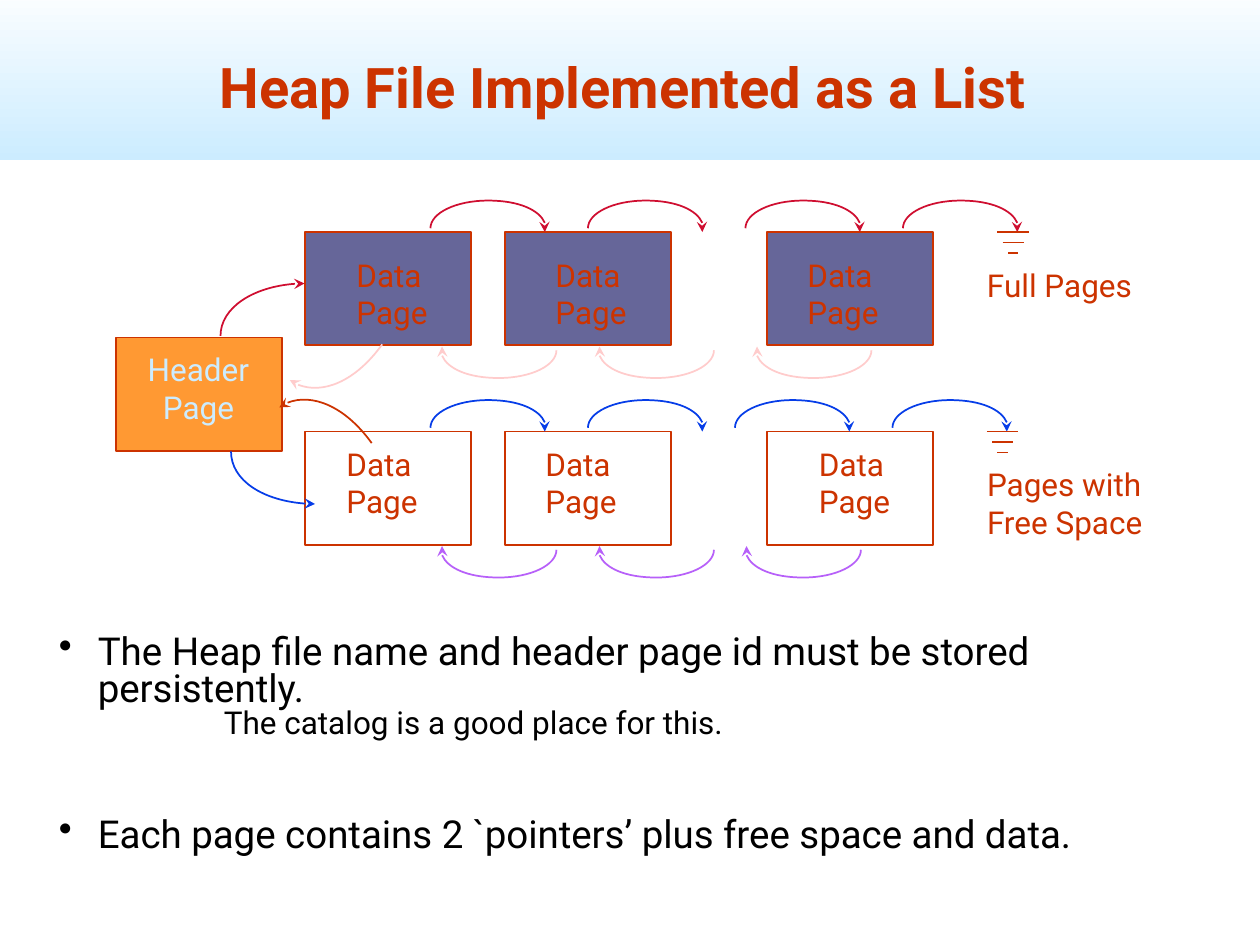
"""Builds a slide on a heap file kept as two linked lists of pages."""
from dataclasses import dataclass

from lxml.etree import SubElement
from pptx import Presentation
from pptx.dml.color import RGBColor
from pptx.enum.shapes import MSO_CONNECTOR, MSO_SHAPE
from pptx.enum.text import MSO_ANCHOR, MSO_AUTO_SIZE, PP_ALIGN
from pptx.oxml.ns import qn
from pptx.util import Inches, Pt

COLUMNS, ROWS = 120, 90
PAGE_WIDTH, PAGE_HEIGHT = 15.84, 10.8
ARC_WIDTH, ARC_HEIGHT = 11, 3
ARC = [(0, 2.64), (0, 1.2), (2.4, 0), (5.5, 0), (8.5, 0), (11, 1.2),
       (11, 2.64), (11, 2.76), (11, 2.88), (10.9, 3)]


@dataclass(frozen=True)
class Theme:
    font: str = "Roboto"
    title_size: int = 32
    body_size: int = 22
    label_size: int = 18
    line_width: int = 1
    rust: str = "CC3300"
    ink: str = "000000"
    sky: str = "CCECFF"
    white: str = "FFFFFF"
    slate: str = "666699"
    orange: str = "FF9933"
    crimson: str = "CF0E30"
    pink: str = "FFCCCC"
    blue: str = "063DE8"
    violet: str = "B760F9"


def apply(target, values):
    for name, value in values.items():
        setattr(target, name, value)


class SlideBuilder:
    """Holds the theme and the current slide, measured in grid columns and rows."""

    def __init__(self, presentation, theme):
        self.theme = theme
        self.slide = presentation.slides.add_slide(presentation.slide_layouts[6])
        self.column = presentation.slide_width / COLUMNS
        self.row = presentation.slide_height / ROWS

    def place(self, x, y):
        return int(x * self.column), int(y * self.row)

    def outline(self, line, color):
        line.color.rgb = RGBColor.from_string(color)
        line.width = Pt(self.theme.line_width)

    def box(self, x, y, width, height, fill=None, line=None):
        shape = self.slide.shapes.add_shape(
            MSO_SHAPE.RECTANGLE, *self.place(x, y), *self.place(width, height))
        shape.shadow.inherit = False
        if fill:
            shape.fill.solid()
            shape.fill.fore_color.rgb = RGBColor.from_string(fill)
        else:
            shape.fill.background()
        if line:
            self.outline(shape.line, line)
        else:
            shape.line.fill.background()
        return shape

    def band(self, x, y, width, height, bottom, top):
        fill = self.box(x, y, width, height).fill
        fill.gradient()
        fill.gradient_angle = 90
        for stop, color in zip(fill.gradient_stops, (bottom, top)):
            stop.color.rgb = RGBColor.from_string(color)

    def frame(self, x, y, width, height, **settings):
        shape = self.slide.shapes.add_textbox(
            *self.place(x, y), *self.place(width, height))
        inset = Inches(0.05)
        apply(shape.text_frame, {
            "margin_left": inset, "margin_right": inset, "margin_top": inset,
            "margin_bottom": inset, "word_wrap": True, **settings})
        return shape.text_frame

    def add_text(self, paragraph, text, size, color, bold=False, **settings):
        apply(paragraph, settings)
        run = paragraph.add_run()
        run.text = text
        apply(run.font, {"name": self.theme.font, "size": Pt(size), "bold": bold})
        run.font.color.rgb = RGBColor.from_string(color)

    def title(self, x, y, width, height, text):
        frame = self.frame(x, y, width, height, vertical_anchor=MSO_ANCHOR.BOTTOM)
        self.add_text(frame.paragraphs[0], text, self.theme.title_size,
                      self.theme.rust, bold=True, alignment=PP_ALIGN.CENTER)

    def label(self, x, y, width, lines, color, alignment=PP_ALIGN.LEFT):
        frame = self.frame(x, y, width, 1.2 + 3.65 * len(lines), word_wrap=False,
                           auto_size=MSO_AUTO_SIZE.SHAPE_TO_FIT_TEXT)
        for index, text in enumerate(lines):
            paragraph = frame.add_paragraph() if index else frame.paragraphs[0]
            self.add_text(paragraph, text, self.theme.label_size, color,
                          alignment=alignment)

    def bullets(self, x, y, width, height, items):
        frame = self.frame(x, y, width, height)
        for index, (text, size, margin, bulleted, before) in enumerate(items):
            paragraph = frame.add_paragraph() if index else frame.paragraphs[0]
            properties = paragraph._p.get_or_add_pPr()
            properties.set("marL", str(Inches(margin)))
            properties.set("indent", str(-Inches(margin) if bulleted else 0))
            if bulleted:
                SubElement(properties, qn("a:buChar")).set("char", "•")
            self.add_text(paragraph, text, size, self.theme.ink, line_spacing=0.8,
                          space_before=Pt(before))

    def curve(self, points, color):
        start, *rest = [self.place(x, y) for x, y in points]
        builder = self.slide.shapes.build_freeform(*start)
        builder.add_line_segments(rest, close=False)
        arrow = builder.convert_to_shape()
        arrow.shadow.inherit = False
        arrow.fill.background()
        self.outline(arrow.line, color)
        outline = next(arrow._element.iter(qn("a:path")))
        segments = outline.findall(qn("a:lnTo"))
        for first in range(0, len(segments), 3):
            bezier = SubElement(outline, qn("a:cubicBezTo"))
            for segment in segments[first:first + 3]:
                bezier.append(segment[0])
                outline.remove(segment)
        line = arrow._element.spPr.find(qn("a:ln"))
        SubElement(line, qn("a:tailEnd")).set("type", "stealth")

    def arc(self, x, y, color, back=False):
        points = [(ARC_WIDTH - dx, ARC_HEIGHT - dy) if back else (dx, dy)
                  for dx, dy in ARC]
        self.curve([(x + dx, y + dy) for dx, dy in points], color)

    def ground(self, center, y):
        group = self.slide.shapes.add_group_shape()
        for step, width in enumerate((3, 2, 1)):
            bar = group.shapes.add_connector(
                MSO_CONNECTOR.STRAIGHT,
                *self.place(center - width / 2, y + step),
                *self.place(center + width / 2, y + step))
            self.outline(bar.line, self.theme.rust)
            SubElement(bar._element.spPr, qn("a:effectLst"))

    def page_list(self, top, fill, labels, label_y, next_arcs, next_color,
                  back_arcs, back_color, end, caption, caption_width):
        rust = self.theme.rust
        for x in (29.05, 48.1, 73.05):
            self.box(x, top, PAGE_WIDTH, PAGE_HEIGHT, fill, rust)
        for x in labels:
            self.label(x, label_y, 8.4, ("Data", "Page"), rust)
        for x in next_arcs:
            self.arc(x, top - ARC_HEIGHT, next_color)
        for x in back_arcs:
            self.arc(x, top + PAGE_HEIGHT + 0.1, back_color, back=True)
        self.ground(end, top)
        self.label(93.4, top + 2.6, caption_width, caption, rust)


def main():
    presentation = Presentation()
    apply(presentation, {"slide_width": Inches(10), "slide_height": Inches(7.5)})
    theme = Theme()
    slide = SlideBuilder(presentation, theme)

    slide.band(0, -2, COLUMNS, 17.25, theme.sky, theme.white)
    slide.title(9, 2, 102, 10, "Heap File Implemented as a List ")
    slide.bullets(5, 60, 110, 26, [
        ("The Heap file name and header page id must be stored persistently.",
         theme.body_size, 0.31, True, 0),
        ("The catalog is a good place for this.", theme.label_size, 1.31, False, 0),
        ("Each page contains 2 `pointers’ plus free space and data.",
         theme.body_size, 0.31, True, 45)])

    slide.page_list(22.1, theme.slate, (33.35, 52.3, 76.3), 23.75,
                    (41, 56, 71, 86), theme.crimson, (42, 57, 72), theme.pink,
                    96.5, ("Full Pages",), 15.6)
    slide.page_list(41.1, None, (32.4, 51.35, 77.4), 41.75,
                    (41, 56, 70, 85), theme.blue, (42, 57, 71), theme.violet,
                    95.5, ("Pages with", "Free Space"), 16.9)

    slide.box(11.05, 32.15, PAGE_WIDTH, PAGE_HEIGHT, theme.orange, theme.rust)
    slide.label(13.3, 32.75, 11.2, ("Header", "Page"), theme.sky, PP_ALIGN.CENTER)
    for color, points in (
            (theme.crimson, [(21, 32), (21, 29.3), (24.6, 27), (29, 27)]),
            (theme.pink, [(36.4, 32.8), (33.8, 36.4), (29.9, 37.9), (27.6, 36.2)]),
            (theme.rust, [(35.4, 42.2), (32.8, 38.6), (28.8, 37.1), (26.6, 38.8)]),
            (theme.blue, [(22, 43), (22, 45.8), (25.6, 48), (30, 48)])):
        slide.curve(points, color)

    presentation.save("out.pptx")


if __name__ == "__main__":
    main()
